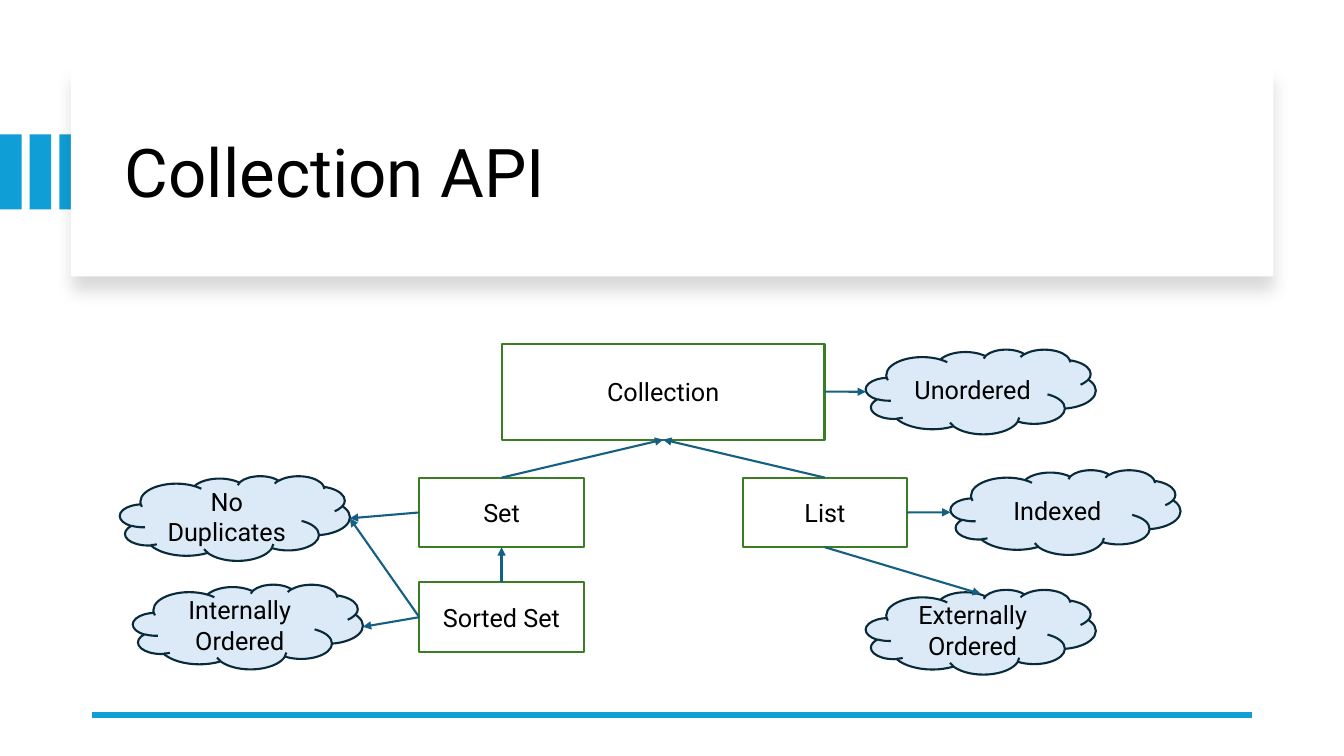
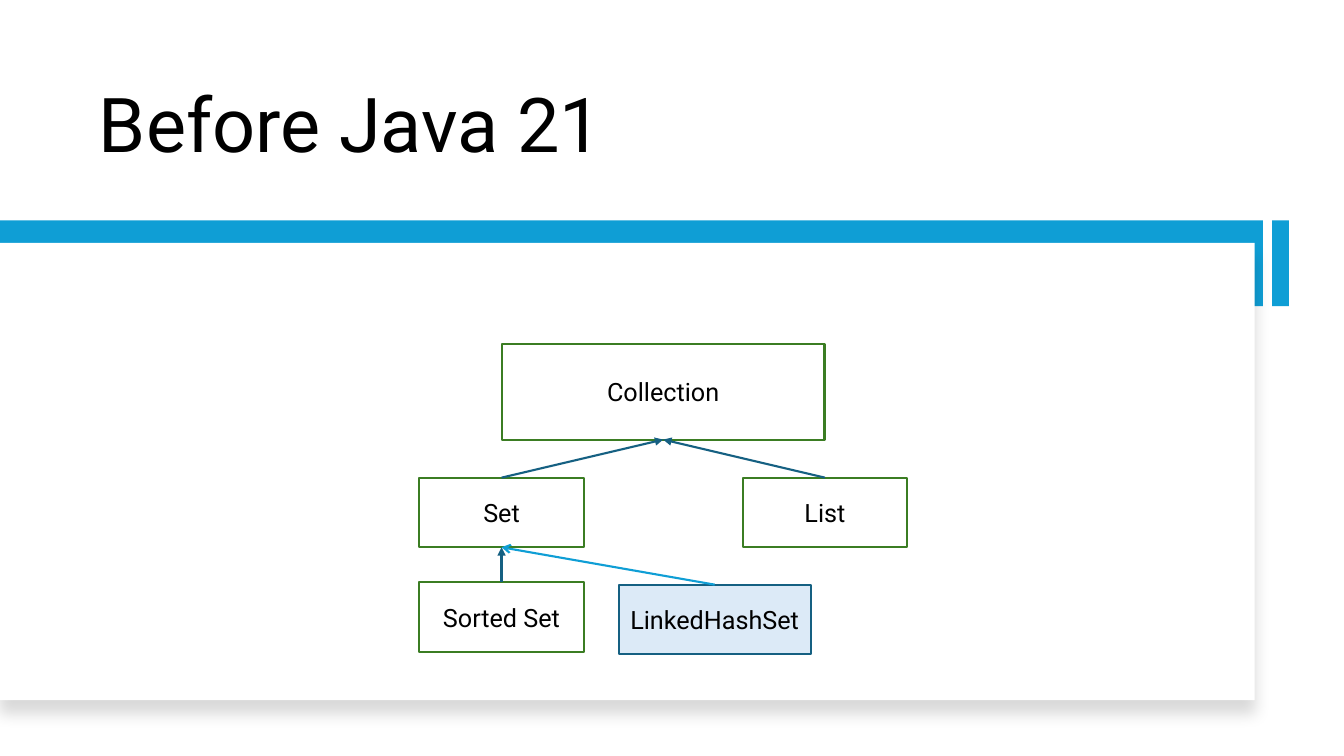
"""Build two slides on the Java collection hierarchy."""
from lxml.etree import SubElement
from pptx import Presentation
from pptx.dml.color import RGBColor
from pptx.enum.shapes import MSO_CONNECTOR, MSO_SHAPE
from pptx.enum.text import MSO_ANCHOR, MSO_AUTO_SIZE, PP_ALIGN
from pptx.oxml.ns import qn
from pptx.util import Pt

FONT = "Roboto"
BLACK = RGBColor(0x00, 0x00, 0x00)
WHITE = RGBColor(0xFF, 0xFF, 0xFF)
BLUE = RGBColor(0x0F, 0x9E, 0xD5)
TEAL = RGBColor(0x15, 0x60, 0x82)
GREEN = RGBColor(0x3B, 0x7D, 0x23)
PALE_BLUE = RGBColor(0xDC, 0xEA, 0xF7)
NAVY = RGBColor(0x09, 0x2A, 0x39)

STYLES = {
    "interface": (MSO_SHAPE.RECTANGLE, WHITE, GREEN),
    "class": (MSO_SHAPE.RECTANGLE, PALE_BLUE, TEAL),
    "trait": (MSO_SHAPE.CLOUD, PALE_BLUE, NAVY),
}
BOX_SIZE = (117.5, 49.7)
CLOUD_SIZE = (164.2, 60.5)
CLOUD_TOP_INSET = 3
SITES = {"top": 0, "left": 1, "bottom": 2, "right": 3}

TREE_NODES = [
    ("Collection", "interface", (358.5, 245.5, 230.5, 68.5)),
    ("Set", "interface", (299.5, 341.2, *BOX_SIZE)),
    ("List", "interface", (530.5, 341.2, *BOX_SIZE)),
    ("Sorted Set", "interface", (299.5, 416, *BOX_SIZE)),
]
TREE_LINKS = [
    ("Set", "top", "Collection", "bottom"),
    ("List", "top", "Collection", "bottom"),
    ("Sorted Set", "top", "Set", "bottom"),
]
TRAIT_NODES = [
    ("Unordered", "trait", (618.5, 249.6, *CLOUD_SIZE)),
    ("Internally Ordered", "trait", (95, 417.5, *CLOUD_SIZE)),
    ("No Duplicates", "trait", (85.7, 340, *CLOUD_SIZE)),
    ("Externally Ordered", "trait", (618.5, 421.2, *CLOUD_SIZE)),
    ("Indexed", "trait", (679, 335.7, *CLOUD_SIZE)),
]
TRAIT_LINKS = [
    ("Set", "left", "No Duplicates", "right"),
    ("Sorted Set", "left", "No Duplicates", "right"),
    ("Sorted Set", "left", "Internally Ordered", "right"),
    ("List", "right", "Indexed", "left"),
    ("List", "bottom", "Externally Ordered", "top"),
    ("Collection", "right", "Unordered", "left"),
]
CLASS_NODES = [("LinkedHashSet", "class", (442, 417.6, 137, 49.7))]
CLASS_LINKS = [("LinkedHashSet", "top", "Set", "bottom")]

SLIDES = [
    {
        "title": "Collection API",
        "title_box": (82, 64, 782.5, 122.5),
        "title_size": 48,
        "title_anchor": MSO_ANCHOR.MIDDLE,
        "bars": [(column * 21.2, 96, 15.4, 53.5) for column in range(3)],
        "panel": (50.6, 48.5, 859, 149),
        "rule": (894, 510.5, 66, 510.5),
        "nodes": TRAIT_NODES,
        "links": TRAIT_LINKS,
        "link_style": (TEAL, "triangle"),
    },
    {
        "title": "Before Java 21",
        "title_box": (63.5, 30, 727, 94),
        "title_size": 54,
        "title_anchor": MSO_ANCHOR.BOTTOM,
        "bars": [(908.7, 157.5, 12, 61.2), (0, 157.5, 902, 61.2)],
        "panel": (0, 173.5, 896.3, 326.7),
        "rule": None,
        "nodes": CLASS_NODES,
        "links": CLASS_LINKS,
        "link_style": (BLUE, "arrow"),
    },
]


def points(values):
    return [Pt(value) for value in values]


def format_text(text_frame, size, alignment, anchor):
    text_frame.word_wrap = True
    text_frame.vertical_anchor = anchor
    paragraph = text_frame.paragraphs[0]
    paragraph.alignment = alignment
    font = paragraph.runs[0].font
    font.name, font.size, font.color.rgb = FONT, Pt(size), BLACK


def add_block(slide, box, fill, line=None, preset=MSO_SHAPE.RECTANGLE):
    shape = slide.shapes.add_shape(preset, *points(box))
    shape.shadow.inherit = False
    shape.fill.solid()
    shape.fill.fore_color.rgb = fill
    if line is None:
        shape.line.fill.background()
    else:
        shape.line.color.rgb = line
        shape.line.width = Pt(1.5)
    return shape


def add_panel(slide, box):
    panel = add_block(slide, box, WHITE)
    effects = panel.element.spPr.find(qn("a:effectLst"))
    shadow = SubElement(effects, qn("a:outerShdw"), blurRad=str(Pt(11)), dist=str(Pt(10)),
                        dir="5400000", algn="t", rotWithShape="0")
    color = SubElement(shadow, qn("a:srgbClr"), val=str(BLACK))
    SubElement(color, qn("a:alpha"), val="15000")


def add_title(slide, content):
    title = slide.shapes.title
    title.left, title.top, title.width, title.height = points(content["title_box"])
    text_frame = title.text_frame
    text_frame.text = content["title"]
    text_frame.auto_size = MSO_AUTO_SIZE.NONE
    text_frame.paragraphs[0].line_spacing = 0.9
    format_text(text_frame, content["title_size"], PP_ALIGN.LEFT, content["title_anchor"])
    title.element.getparent().append(title.element)


def add_line(slide, ends, color, width, head=None):
    connector = slide.shapes.add_connector(MSO_CONNECTOR.STRAIGHT, *ends)
    connector.line.color.rgb = color
    connector.line.width = Pt(width)
    if head:
        SubElement(connector.line._get_or_add_ln(), qn("a:tailEnd"), type=head)
    SubElement(connector.element.spPr, qn("a:effectLst"))
    return connector


def add_nodes(slide, nodes):
    shapes = {}
    for label, kind, box in nodes:
        preset, fill, line = STYLES[kind]
        shape = add_block(slide, box, fill, line, preset)
        shape.text_frame.text = label
        format_text(shape.text_frame, 18, PP_ALIGN.CENTER, MSO_ANCHOR.MIDDLE)
        shapes[label] = shape
    return shapes


def side_point(shape, side):
    center = shape.left + shape.width // 2
    middle = shape.top + shape.height // 2
    inset = Pt(CLOUD_TOP_INSET) if shape.auto_shape_type == MSO_SHAPE.CLOUD else 0
    return {
        "top": (center, shape.top + inset),
        "left": (shape.left, middle),
        "bottom": (center, shape.top + shape.height),
        "right": (shape.left + shape.width, middle),
    }[side]


def add_links(slide, shapes, links, color, head):
    for source, source_side, target, target_side in links:
        start, end = shapes[source], shapes[target]
        ends = (*side_point(start, source_side), *side_point(end, target_side))
        connector = add_line(slide, ends, color, 1.5, head)
        connector.begin_connect(start, SITES[source_side])
        if end.auto_shape_type == MSO_SHAPE.RECTANGLE:
            connector.end_connect(end, SITES[target_side])


def build_slide(presentation, content):
    slide = presentation.slides.add_slide(presentation.slide_layouts[5])
    for bar in content["bars"]:
        add_block(slide, bar, BLUE)
    add_panel(slide, content["panel"])
    add_title(slide, content)
    if content["rule"]:
        add_line(slide, points(content["rule"]), BLUE, 4.5)
    shapes = add_nodes(slide, TREE_NODES + content["nodes"])
    add_links(slide, shapes, TREE_LINKS, TEAL, "triangle")
    add_links(slide, shapes, content["links"], *content["link_style"])


def main():
    presentation = Presentation()
    presentation.slide_width, presentation.slide_height = Pt(960), Pt(540)
    for content in SLIDES:
        build_slide(presentation, content)
    presentation.save("out.pptx")


if __name__ == "__main__":
    main()
